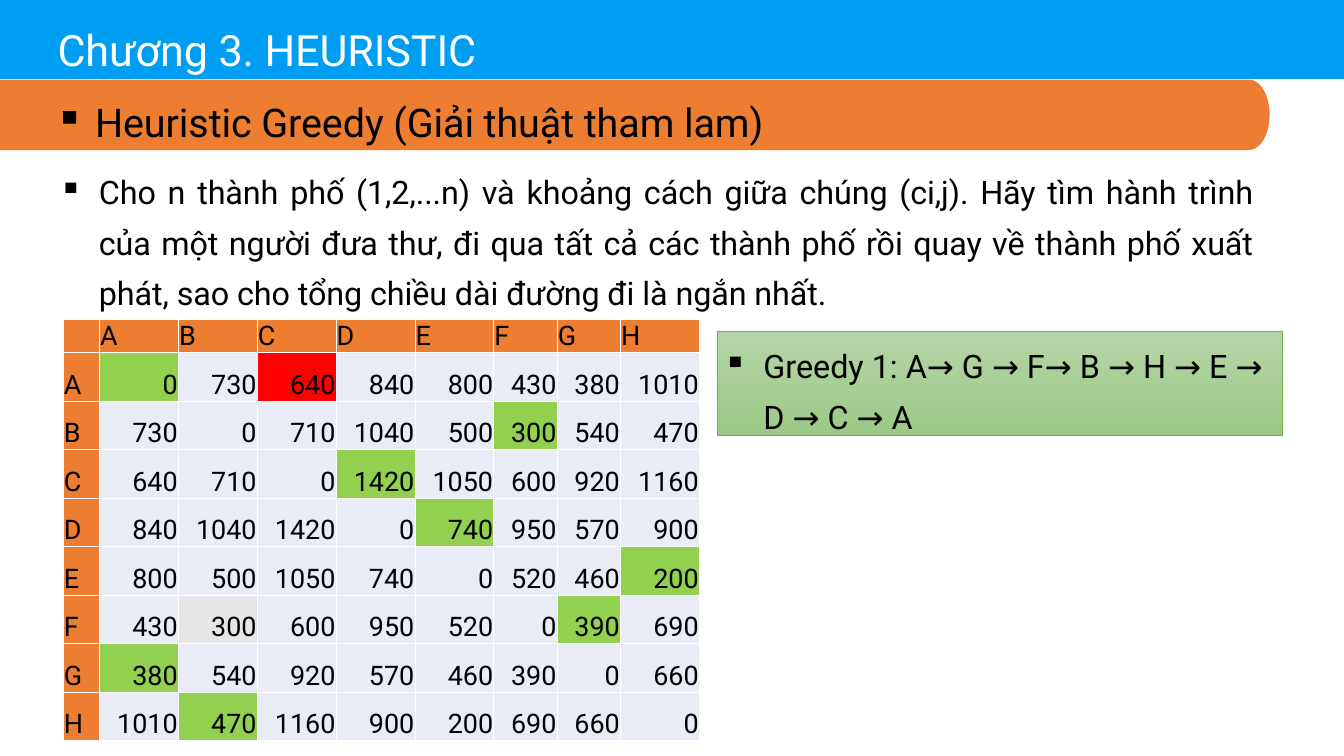
from math import cos, sin, pi

from pptx import Presentation
from pptx.dml.color import RGBColor as RGB
from pptx.enum.shapes import MSO_SHAPE as SHAPE
from pptx.enum.text import MSO_ANCHOR as ANCHOR, PP_ALIGN as ALIGN
from pptx.oxml import parse_xml
from pptx.oxml.ns import nsdecls
from pptx.util import Inches, Pt

FONT = "Roboto"
BLACK = RGB(0x00, 0x00, 0x00)
WHITE = RGB(0xFF, 0xFF, 0xFF)
BLUE = RGB(0x00, 0x9E, 0xF3)
ORANGE = RGB(0xED, 0x7D, 0x31)
LIME = RGB(0x92, 0xD0, 0x50)
RED = RGB(0xFF, 0x00, 0x00)
PALE = RGB(0xE9, 0xEB, 0xF5)
GREY = RGB(0xE7, 0xE6, 0xE6)
LEAF = RGB(0x70, 0xAD, 0x47)
LEAF_TOP = RGB(0xB5, 0xD5, 0xA7)
LEAF_LOW = RGB(0x9C, 0xC9, 0x87)

CITIES = "ABCDEFGH"
COSTS = [
    [0, 730, 640, 840, 800, 430, 380, 1010],
    [730, 0, 710, 1040, 500, 300, 540, 470],
    [640, 710, 0, 1420, 1050, 600, 920, 1160],
    [840, 1040, 1420, 0, 740, 950, 570, 900],
    [800, 500, 1050, 740, 0, 520, 460, 200],
    [430, 300, 600, 950, 520, 0, 390, 690],
    [380, 540, 920, 570, 460, 390, 0, 660],
    [1010, 470, 1160, 900, 200, 690, 660, 0],
]
# Cell colours by row and column city
MARKS = dict.fromkeys("AA BF CD DE EH FG GA HB".split(), LIME)
MARKS.update(AC=RED, FB=GREY)
WIDTHS = [0.56] + [1.22] * 5 + [0.98] * 2 + [1.22]


def put_text(frame, text, size, color=BLACK, align=ALIGN.LEFT, bullet=False,
             hang=0.62, left=0.64, track=0, before=None):
    """Write one paragraph in a text frame."""
    para = frame.paragraphs[0]
    para.alignment = align
    if before:
        para.space_before = Pt(before)
    if bullet:
        para.line_spacing = 1.3
        props = para._p.get_or_add_pPr()
        props.set("marL", str(Inches(left)))
        props.set("indent", str(-Inches(hang)))
        props.append(parse_xml(f'<a:buChar {nsdecls("a")} char="▪"/>'))
    run = para.add_run()
    run.text = text
    run.font.name = FONT
    run.font.size = Pt(size)
    run.font.color.rgb = color
    if track:
        run._r.get_or_add_rPr().set("spc", str(round(track * 100)))


def add_label(slide, x, y, w, h, text, size, **form):
    box = slide.shapes.add_textbox(Inches(x), Inches(y), Inches(w), Inches(h))
    frame = box.text_frame
    frame.word_wrap = True
    frame.margin_left = frame.margin_right = frame.margin_bottom = 0
    frame.margin_top = Inches(0.01)
    put_text(frame, text, size, track=-0.1, **form)


def add_rect(slide, x, y, w, h):
    rect = slide.shapes.add_shape(
        SHAPE.RECTANGLE, Inches(x), Inches(y), Inches(w), Inches(h))
    rect.shadow.inherit = False
    return rect


def paint(shape, color):
    shape.fill.solid()
    shape.fill.fore_color.rgb = color
    shape.line.fill.background()


def add_tab(slide, top, low, right, curve, color):
    """Band from the left edge with a round right end."""
    mid, tall = (top + low) / 2, (low - top) / 2
    steps = 24
    turns = [pi * (i / steps - 0.5) for i in range(steps + 1)]
    arc = [(right - curve + curve * cos(t), mid + tall * sin(t)) for t in turns]
    points = [(Inches(x), Inches(y)) for x, y in arc + [(0, low)]]
    build = slide.shapes.build_freeform(0, Inches(top))
    build.add_line_segments(points, close=True)
    tab = build.convert_to_shape()
    tab.shadow.inherit = False
    paint(tab, color)


def add_edges(cell):
    props = cell._tc.get_or_add_tcPr()
    for i, side in enumerate("LRTB"):
        props.insert(i, parse_xml(
            f'<a:ln{side} {nsdecls("a")} w="{Pt(1)}"><a:solidFill>'
            f'<a:srgbClr val="{WHITE}"/></a:solidFill></a:ln{side}>'))


def fill_cell(cell, text, color, align):
    cell.fill.solid()
    cell.fill.fore_color.rgb = color
    add_edges(cell)
    cell.vertical_anchor = ANCHOR.BOTTOM
    cell.margin_left = cell.margin_right = cell.margin_top = Inches(0.01)
    cell.margin_bottom = 0
    if text:
        put_text(cell.text_frame, text, 30, align=align)


def add_costs(slide, x, y):
    """Distance table with city names along the top and left."""
    count = len(CITIES) + 1
    table = slide.shapes.add_table(
        count, count, Inches(x), Inches(y),
        Inches(sum(WIDTHS)), Inches(6.41)).table
    for col, width in zip(table.columns, WIDTHS):
        col.width = Inches(width)
    for i, row in enumerate(table.rows):
        row.height = Inches(0.75 if i else 0.41)

    names = [""] + list(CITIES)
    for i, name in enumerate(names):
        fill_cell(table.cell(0, i), name, ORANGE, ALIGN.LEFT)
        if i:
            fill_cell(table.cell(i, 0), name, ORANGE, ALIGN.LEFT)
    for i, costs in enumerate(COSTS, 1):
        for j, cost in enumerate(costs, 1):
            color = MARKS.get(names[i] + names[j], PALE)
            fill_cell(table.cell(i, j), str(cost), color, ALIGN.RIGHT)


def add_route(slide):
    """Green box with the greedy tour."""
    box = add_rect(slide, 11.09, 5.13, 8.75, 1.6)
    box.fill.gradient()
    box.fill.gradient_angle = 270
    for stop, color in zip(box.fill.gradient_stops, (LEAF_TOP, LEAF_LOW)):
        stop.color.rgb = color
    box.line.color.rgb = LEAF
    box.line.width = Pt(0.5)
    frame = box.text_frame
    frame.word_wrap = True
    frame.vertical_anchor = ANCHOR.TOP
    put_text(frame, "Greedy 1: A→ G → F→ B → H → E → D → C → A", 36,
             bullet=True, left=0.62)


def main():
    deck = Presentation()
    deck.slide_width, deck.slide_height = Inches(20.79), Inches(11.69)
    slide = deck.slides.add_slide(deck.slide_layouts[6])

    # Header bands
    paint(add_rect(slide, 0, 0, 20.79, 1.22), BLUE)
    add_tab(slide, 1.23, 2.32, 19.64, 0.32, ORANGE)

    # Topic and problem
    add_label(slide, 0.83, 1.29, 18.82, 0.89,
              "Heuristic Greedy (Giải thuật tham lam)", 44,
              align=ALIGN.JUSTIFY, bullet=True)
    add_label(slide, 0.89, 2.48, 18.5, 2.31,
              "Cho n thành phố (1,2,...n) và khoảng cách giữa chúng (ci,j). "
              "Hãy tìm hành trình của một người đưa thư, đi qua tất cả các "
              "thành phố rồi quay về thành phố xuất phát, sao cho tổng chiều "
              "dài đường đi là ngắn nhất.", 36,
              align=ALIGN.JUSTIFY, bullet=True)

    # Greedy tour and distances
    add_route(slide)
    add_costs(slide, 0.98, 4.94)

    # Chapter title
    add_label(slide, 0.89, 0.35, 18.75, 0.82, "Chương 3. HEURISTIC", 48,
              color=WHITE, before=1)

    deck.save("out.pptx")


if __name__ == "__main__":
    main()
